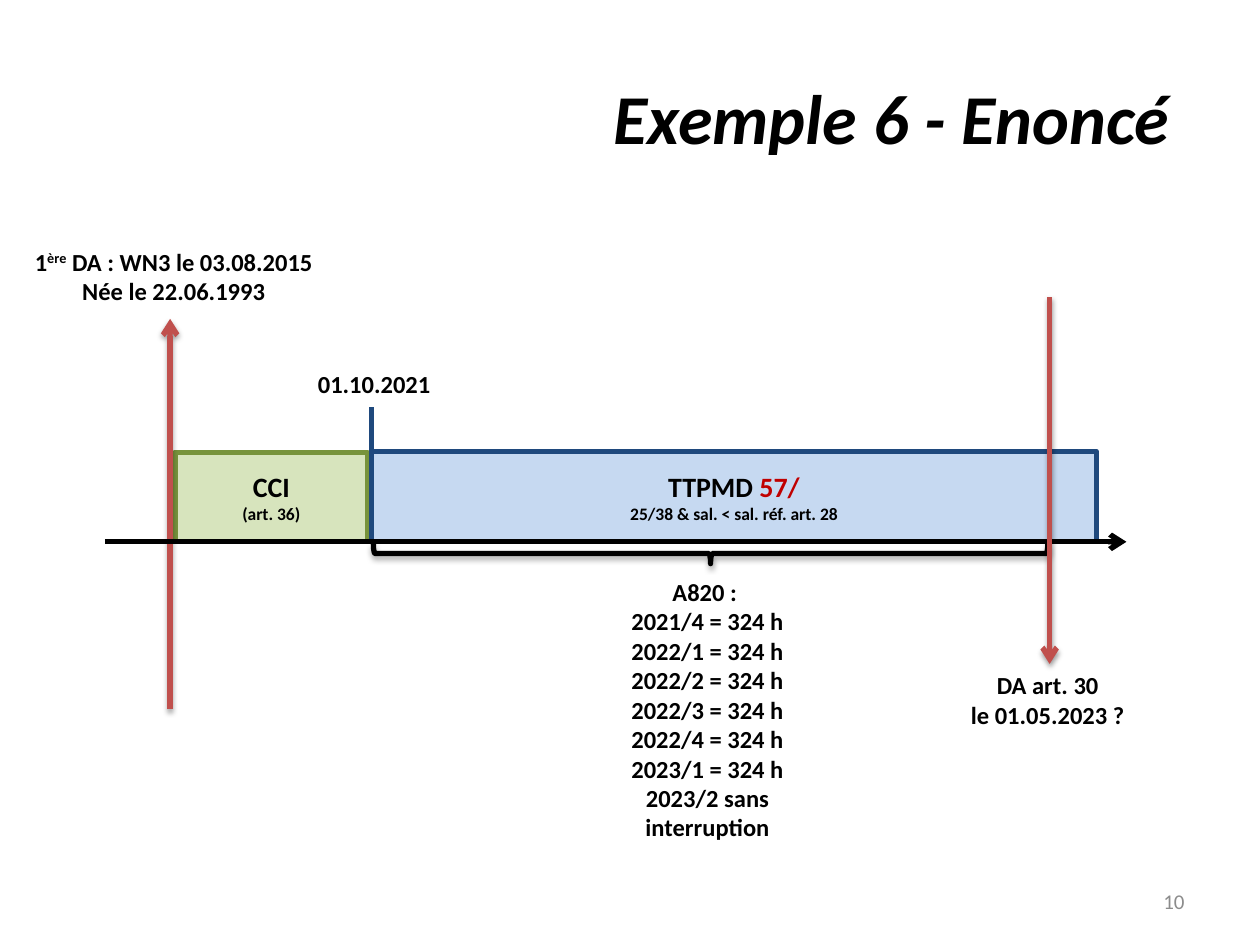
from lxml import etree
from pptx import Presentation
from pptx.dml.color import RGBColor
from pptx.enum.shapes import MSO_CONNECTOR, MSO_SHAPE
from pptx.enum.text import MSO_ANCHOR, PP_ALIGN
from pptx.oxml.ns import qn
from pptx.util import Pt

CENTER, RIGHT = PP_ALIGN.CENTER, PP_ALIGN.RIGHT
TOP, MIDDLE = MSO_ANCHOR.TOP, MSO_ANCHOR.MIDDLE

BLACK = RGBColor(0x00, 0x00, 0x00)
GRAY = RGBColor(0x8C, 0x8C, 0x8C)
RED = RGBColor(0xC0, 0x00, 0x00)
BRICK = RGBColor(0xC0, 0x50, 0x4D)
GREEN = RGBColor(0x77, 0x93, 0x3C)
LIGHT_GREEN = RGBColor(0xD7, 0xE4, 0xBD)
NAVY = RGBColor(0x1F, 0x49, 0x7D)
LIGHT_BLUE = RGBColor(0xC6, 0xD9, 0xF1)

FONT = "Calibri"
LINE_WIDTH = 3
AXIS_Y = 309.6
FIRST_CLAIM_X, PERIOD_X, SECOND_CLAIM_X = 97.2, 212.4, 599.8
BRACE_DEPTH, BRACE_INSET = 11.5, 1

# Each paragraph is a list of runs: (text, colour or None, superscript)
QUARTERS = ["2021/4", "2022/1", "2022/2", "2022/3", "2022/4", "2023/1"]
TITLE = [[("Exemple 6 - Enoncé ", None, False)]]
PAGE_NUMBER = [[("10", None, False)]]
PERIOD_START = [[("01.10.2021", None, False)]]
FIRST_CLAIM = [
    [("1", None, False), ("ère", None, True), (" DA : WN3 le 03.08.2015", None, False)],
    [("Née le 22.06.1993", None, False)],
]
HOURS = [
    [("A820 : ", None, False)],
    *[[(f"{quarter} = 324 h", None, False)] for quarter in QUARTERS],
    [("2023/2 sans interruption", None, False)],
]
SECOND_CLAIM = [[("DA art. 30", None, False)], [("le 01.05.2023 ?", None, False)]]
CCI = [[("CCI", None, False)], [("(art. 36)", None, False)]]
TTPMD = [
    [("TTPMD ", None, False), ("57/", RED, False)],
    [("25/38 & sal. < sal. réf. art. 28", None, False)],
]

# Paragraphs, (left, top, width, height), size
LABELS = [
    (PERIOD_START, (168.5, 207.4, 90.7, 24.5), 14),
    (FIRST_CLAIM, (0, 137.5, 198.7, 41), 14),
    (HOURS, (326.9, 326.2, 154.8, 159.8), 14),
    (SECOND_CLAIM, (524.9, 379.4, 147.6, 41), 14),
]
# Paragraphs, left, top, width, fill, line
PERIODS = [
    (CCI, 100, 258.5, 110, LIGHT_GREEN, GREEN),
    (TTPMD, PERIOD_X, 257.8, 414, LIGHT_BLUE, NAVY),
]


def write(frame, paragraphs, sizes, color=BLACK, align=CENTER, anchor=TOP,
          bold=True, italic=False):
    frame.word_wrap = True
    frame.vertical_anchor = anchor
    for index, (runs, size) in enumerate(zip(paragraphs, sizes)):
        paragraph = frame.paragraphs[0] if index == 0 else frame.add_paragraph()
        paragraph.alignment = align
        font = paragraph.font
        font.name, font.size, font.bold, font.italic = FONT, Pt(size), bold, italic
        font.color.rgb = color
        for text, run_color, superscript in runs:
            run = paragraph.add_run()
            run.text = text
            if run_color is not None:
                run.font.color.rgb = run_color
            if superscript:
                run.font._element.set("baseline", "30000")


def add_label(slide, paragraphs, box, size, **style):
    text_box = slide.shapes.add_textbox(*map(Pt, box))
    write(text_box.text_frame, paragraphs, [size] * len(paragraphs), **style)


def set_effects(shape, shadow=None):
    """Clear the theme effects; shadow is (opacity in %, blur, distance), cast down."""
    effects = etree.SubElement(shape._element.spPr, qn("a:effectLst"))
    if shadow:
        opacity, blur, distance = shadow
        outer = etree.SubElement(
            effects, qn("a:outerShdw"), blurRad=str(Pt(blur)), dist=str(Pt(distance)),
            dir="5400000", rotWithShape="0")
        color = etree.SubElement(outer, qn("a:srgbClr"), val=str(BLACK))
        etree.SubElement(color, qn("a:alpha"), val=str(opacity * 1000))


def set_line(shape, color):
    shape.line.color.rgb = color
    shape.line.width = Pt(LINE_WIDTH)


def add_line(slide, start, end, color, arrow=True, shadow=None):
    line = slide.shapes.add_connector(MSO_CONNECTOR.STRAIGHT, *map(Pt, start + end))
    set_line(line, color)
    if arrow:
        etree.SubElement(line.line._get_or_add_ln(), qn("a:tailEnd"), type="arrow")
    set_effects(line, shadow)


def add_period(slide, paragraphs, left, top, width, fill, color):
    period = slide.shapes.add_shape(
        MSO_SHAPE.RECTANGLE, Pt(left), Pt(top), Pt(width), Pt(AXIS_Y - top))
    period.shadow.inherit = False
    period.fill.solid()
    period.fill.fore_color.rgb = fill
    set_line(period, color)
    write(period.text_frame, paragraphs, (16, 10), anchor=MIDDLE)


def add_brace(slide):
    """A left brace turned to open upwards, just under the axis."""
    length = SECOND_CLAIM_X - PERIOD_X - 2 * BRACE_INSET
    center_x = (PERIOD_X + SECOND_CLAIM_X) / 2
    center_y = AXIS_Y + BRACE_DEPTH / 2 + 1
    brace = slide.shapes.add_shape(
        MSO_SHAPE.LEFT_BRACE, Pt(center_x - BRACE_DEPTH / 2), Pt(center_y - length / 2),
        Pt(BRACE_DEPTH), Pt(length))
    brace.rotation = 270
    brace.fill.background()
    set_line(brace, BLACK)
    set_effects(brace, (35, 3.1, 1.8))


def main():
    presentation = Presentation()
    presentation.slide_width, presentation.slide_height = Pt(720), Pt(540)
    slide = presentation.slides.add_slide(presentation.slide_layouts[6])

    add_label(slide, TITLE, (36, 21.6, 648, 90), 40,
              align=RIGHT, anchor=MIDDLE, italic=True)
    add_label(slide, PAGE_NUMBER, (516, 500.4, 168, 28.8), 12,
              color=GRAY, align=RIGHT, anchor=MIDDLE, bold=False)
    for period in PERIODS:
        add_period(slide, *period)

    claim_shadow = (38, 3.1, 1.6)
    add_line(slide, (FIRST_CLAIM_X, 405.4), (FIRST_CLAIM_X, 182.2), BRICK,
             shadow=claim_shadow)
    add_line(slide, (PERIOD_X, 232.6), (PERIOD_X, 311), NAVY, arrow=False)
    for label in LABELS:
        add_label(slide, *label)
    add_brace(slide)
    add_line(slide, (60, AXIS_Y), (643.7, AXIS_Y), BLACK)
    add_line(slide, (SECOND_CLAIM_X, 169.9), (SECOND_CLAIM_X, 379.4), BRICK,
             shadow=claim_shadow)
    presentation.save("out.pptx")


if __name__ == "__main__":
    main()
